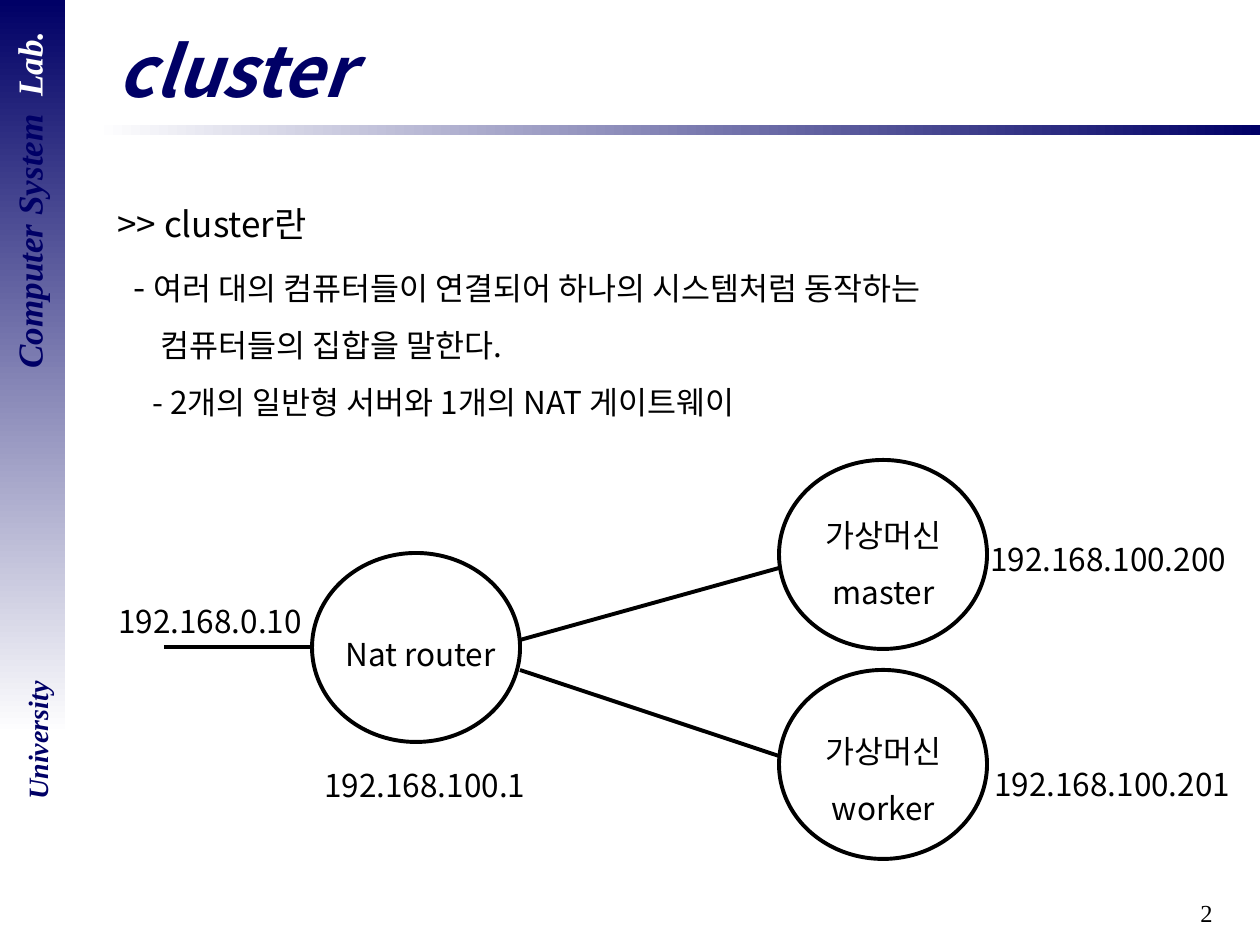
from dataclasses import dataclass
from lxml import etree
from pptx import Presentation
from pptx.dml.color import RGBColor
from pptx.enum.shapes import MSO_CONNECTOR, MSO_SHAPE
from pptx.enum.text import MSO_ANCHOR, PP_ALIGN
from pptx.oxml.ns import qn
from pptx.util import Pt

LINE = MSO_CONNECTOR.STRAIGHT
RECT, OVAL = MSO_SHAPE.RECTANGLE, MSO_SHAPE.OVAL
LEFT, MID, RIGHT = PP_ALIGN.LEFT, PP_ALIGN.CENTER, PP_ALIGN.RIGHT
TOP, CENTER = MSO_ANCHOR.TOP, MSO_ANCHOR.MIDDLE
SCALE = 914400 / 126
HEX = {"navy": "000066", "white": "FFFFFF", "black": "000000"}
SANS, SERIF = "Noto Sans CJK KR", "Times New Roman"
BODY = {"name": SANS, "size": Pt(18)}
HEAD = {"name": SANS, "size": Pt(20)}
TITLE = {"name": SANS, "size": Pt(40), "bold": True, "italic": True}
LAB = {"name": SERIF, "size": Pt(20), "bold": True, "italic": True}
SCHOOL = {**LAB, "size": Pt(16)}
PAGE = {"name": SERIF, "size": Pt(14)}


def emu(*sizes):
    """Turn px lengths into EMU."""
    return [round(size * SCALE) for size in sizes]


def tint(name):
    """Return the named colour."""
    return RGBColor.from_string(HEX[name])


@dataclass
class Deck:
    """Draw elements on the current slide in one style."""

    slide: object
    ink: str = "black"
    width: float = 2.25

    def bar(self, box, first, last, turn=0):
        """Draw a bar that fades between two colours."""
        bar = self.slide.shapes.add_shape(RECT, *emu(*box))
        bar.shadow.inherit = False
        bar.rotation = turn
        bar.line.fill.background()
        bar.fill.gradient()
        bar.fill.gradient_angle = 0
        for stop, name in zip(bar.fill.gradient_stops, (first, last)):
            stop.color.rgb = tint(name)

    def pen(self, line):
        """Give a line its colour and width."""
        line.color.rgb = tint(self.ink)
        line.width = Pt(self.width)

    def ring(self, box):
        """Draw an open ellipse."""
        ring = self.slide.shapes.add_shape(OVAL, *emu(*box))
        ring.shadow.inherit = False
        ring.fill.background()
        self.pen(ring.line)

    def link(self, *ends):
        """Draw a straight line."""
        link = self.slide.shapes.add_connector(LINE, *emu(*ends))
        etree.SubElement(link._element.spPr, qn("a:effectLst"))
        self.pen(link.line)

    def text(self, box, rows, align=LEFT, space=1.5, turn=0, anchor=TOP):
        """Write rows of an indent and runs of text, format and colour."""
        note = self.slide.shapes.add_textbox(*emu(*box))
        note.rotation = turn
        frame = note.text_frame
        frame.word_wrap = True
        frame.vertical_anchor = anchor
        for spot, (indent, runs) in enumerate(rows):
            para = frame.add_paragraph() if spot else frame.paragraphs[0]
            para.alignment, para.line_spacing = align, space
            if indent:
                para._p.get_or_add_pPr().set("marL", str(emu(indent)[0]))
            for words, form, color in runs:
                run = para.add_run()
                run.text = words
                for key, value in form.items():
                    setattr(run.font, key, value)
                run.font.color.rgb = tint(color)
                face = etree.SubElement(run._r.get_or_add_rPr(), qn("a:ea"))
                face.set("typeface", form["name"])

    def label(self, box, *lines, align=LEFT):
        """Write plain lines in the body format."""
        rows = [(0, [(line, BODY, self.ink)]) for line in lines]
        self.text(box, rows, align)


def main():
    """Build the cluster slide."""
    show = Presentation()
    show.slide_width, show.slide_height = emu(1260, 945)
    deck = Deck(show.slides.add_slide(show.slide_layouts[6]))

    deck.bar((95, 125, 1165, 10), "white", "navy")
    deck.text((963, 892, 262, 53), [(0, [("2", PAGE, "black")])], RIGHT, 1)
    deck.bar((-335, 335, 735, 65), "navy", "white", 90)
    lab = [("Computer System  ", LAB, "navy"), ("Lab.", LAB, "white")]
    deck.text((-165, 173, 387, 54), [(0, lab)], MID, 1, 270)
    school = [("University", SCHOOL, "navy")]
    deck.text((-52, 717, 179, 47), [(0, school)], MID, 1, 270)
    title = [("cluster", TITLE, "navy")]
    deck.text((105, 21, 1121, 97), [(0, title)], space=1, anchor=CENTER)

    deck.text((105, 175, 973, 246), [
        (0, [(">> cluster란", HEAD, "black")]),
        (16, [("- ", HEAD, "black"),
              ("여러 대의 컴퓨터들이 연결되어 하나의 시스템처럼 동작하는", BODY, "black")]),
        (43, [("컴퓨터들의 집합을 말한다.", BODY, "black")]),
        (35, [("- 2개의 일반형 서버와 1개의 NAT 게이트웨이", BODY, "black")]),
    ])

    deck.label((333, 610, 189, 60), "Nat router")
    for top, role in ((491, "master"), (707, "worker")):
        deck.label((789, top, 189, 118), "가상머신", role, align=MID)
    for ends in ((520, 640, 779, 568), (520, 670, 779, 756),
                 (164, 647, 312, 647)):
        deck.link(*ends)
    for left, top in ((312, 553), (779, 460), (779, 670)):
        deck.ring((left, top, 208, 189))
    for left, top, host in ((978, 515, "192.168.100.200"),
                            (982, 740, "192.168.100.201"),
                            (312, 741, "192.168.100.1"),
                            (106, 577, "192.168.0.10")):
        deck.label((left, top, 301, 60), host)
    show.save("out.pptx")


if __name__ == "__main__":
    main()
